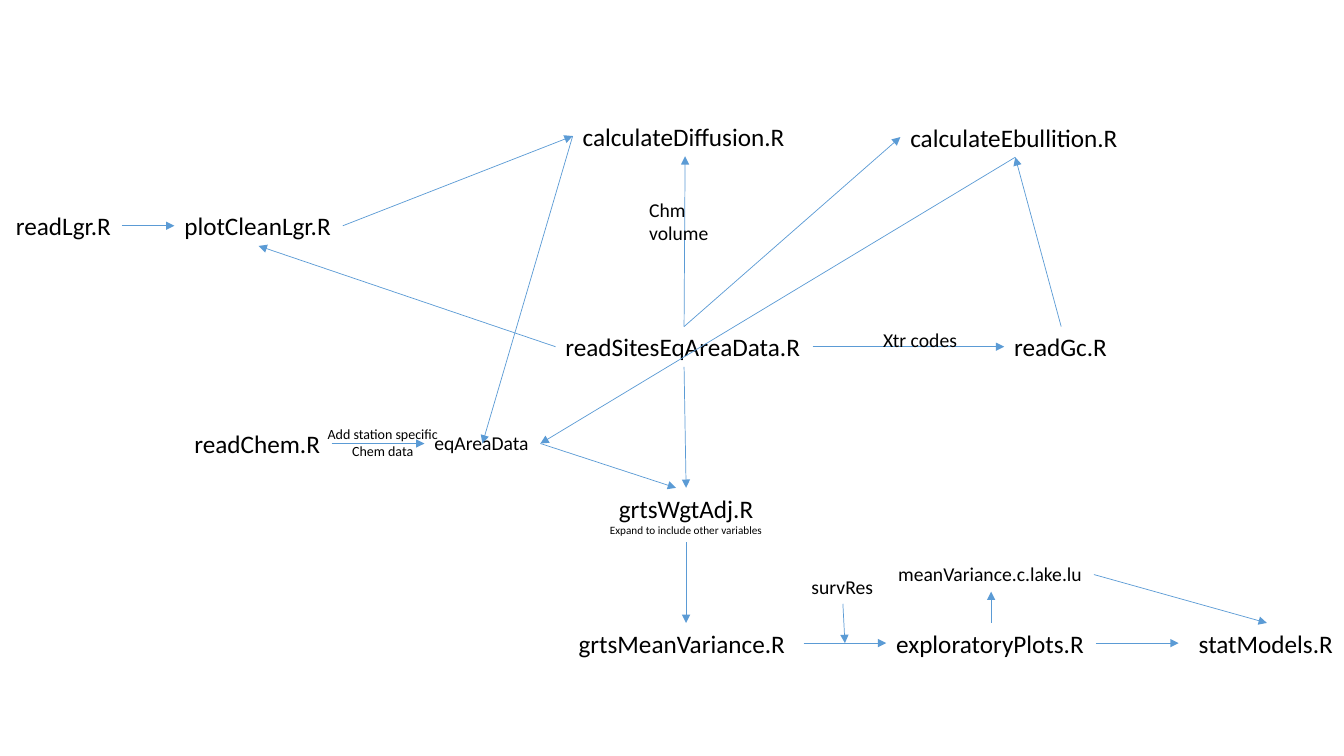
from dataclasses import dataclass

from lxml import etree
from pptx import Presentation
from pptx import util as u
from pptx.dml.color import RGBColor
from pptx.enum import shapes, text
from pptx.oxml.ns import qn


@dataclass(frozen=True)
class Theme:
    font: str = "Calibri"
    ink: RGBColor = RGBColor(0x00, 0x00, 0x00)
    arrow: RGBColor = RGBColor(0x5B, 0x9B, 0xD5)
    arrow_width: float = 0.5
    script: int = 18
    data: int = 14
    note: int = 10
    small: int = 8


theme = Theme()

# Scripts: name -> left, top, width, height
scripts = {
    "readSitesEqAreaData.R": (5.51, 3.24, 2.55, 0.4),
    "plotCleanLgr.R": (1.73, 2.04, 1.67, 0.4),
    "grtsWgtAdj.R": (5.94, 4.84, 1.73, 0.54),
    "readLgr.R": (0.06, 2.04, 1.15, 0.4),
    "calculateDiffusion.R": (5.68, 1.15, 2.23, 0.4),
    "calculateEbullition.R": (8.93, 1.16, 2.28, 0.4),
    "grtsMeanVariance.R": (5.64, 6.18, 2.33, 0.4),
    "readGc.R": (9.96, 3.24, 1.13, 0.4),
    "exploratoryPlots.R": (8.79, 6.18, 2.08, 0.4),
    "readChem.R": (1.83, 4.2, 1.46, 0.4),
    "statModels.R": (11.79, 6.18, 1.55, 0.4),
}
script_notes = {"grtsWgtAdj.R": "Expand to include other variables"}

# Data objects passed between scripts
data_objects = {
    "eqAreaData": (4.21, 4.23, 1.15, 0.34),
    "survRes": (7.95, 5.65, 0.82, 0.34),
    "meanVariance.c.lake.lu": (8.81, 5.53, 2.04, 0.34),
}
boxes = {**scripts, **data_objects}

# Arrow labels: lines, box, size, centred
labels = [
    (["Chm", "volume"], (6.34, 1.91, 0.8, 0.57), theme.data, False),
    (["Xtr codes"], (8.66, 3.2, 0.94, 0.34), theme.data, False),
    (["Add station specific", "Chem data"], (3.14, 4.17, 1.31, 0.44), theme.note, True),
]

# Arrows: start box, side, end box, side, shift of the end point in x
arrows = [
    ("readSitesEqAreaData.R", "left", "plotCleanLgr.R", "bottom", 0),
    ("readSitesEqAreaData.R", "bottom", "grtsWgtAdj.R", "top", 0),
    ("readLgr.R", "right", "plotCleanLgr.R", "left", 0),
    ("plotCleanLgr.R", "right", "calculateDiffusion.R", "left", 0),
    ("readSitesEqAreaData.R", "top", "calculateEbullition.R", "left", 0),
    ("readSitesEqAreaData.R", "top", "calculateDiffusion.R", "bottom", 0),
    ("calculateDiffusion.R", "left", "eqAreaData", "centre", 0),
    ("calculateEbullition.R", "bottom", "eqAreaData", "right", 0),
    ("grtsWgtAdj.R", "bottom", "grtsMeanVariance.R", "top", 0),
    ("readSitesEqAreaData.R", "right", "readGc.R", "left", 0),
    ("readGc.R", "top", "calculateEbullition.R", "bottom", 0),
    ("eqAreaData", "right", "grtsWgtAdj.R", "top", -0.1),
    ("grtsMeanVariance.R", "right", "exploratoryPlots.R", "left", 0),
    ("survRes", "bottom", "exploratoryPlots.R", "left", -0.41),
    ("exploratoryPlots.R", "top", "meanVariance.c.lake.lu", "bottom", 0),
    ("readChem.R", "right", "eqAreaData", "left", 0),
    ("exploratoryPlots.R", "right", "statModels.R", "left", -0.1),
    ("meanVariance.c.lake.lu", "right", "statModels.R", "top", 0),
]
sides = {"left": (0, 0.5), "right": (1, 0.5), "top": (0.5, 0),
         "bottom": (0.5, 1), "centre": (0.5, 0.5)}


def add_text(s, lines, box, centred=False):
    """Add a text box holding one paragraph per (words, size) pair."""
    sp = s.shapes.add_textbox(*map(u.Inches, box))
    tf = sp.text_frame
    tf.word_wrap = False
    tf.auto_size = text.MSO_AUTO_SIZE.SHAPE_TO_FIT_TEXT
    for i, (words, size) in enumerate(lines):
        p = tf.add_paragraph() if i else tf.paragraphs[0]
        p.alignment = text.PP_ALIGN.CENTER if centred else text.PP_ALIGN.LEFT
        r = p.add_run()
        r.text = words
        r.font.name = theme.font
        r.font.size = u.Pt(size)
        r.font.color.rgb = theme.ink


def anchor(name, side):
    """Return the point on the given side of a named box."""
    left, top, width, height = boxes[name]
    fx, fy = sides[side]
    return left + fx * width, top + fy * height


prs = Presentation()
prs.slide_width, prs.slide_height = u.Inches(13.33), u.Inches(7.5)
s = prs.slides.add_slide(prs.slide_layouts[6])

# Script names
for name, box in scripts.items():
    lines = [(name, theme.script)]
    if name in script_notes:
        lines.append((script_notes[name], theme.small))
    add_text(s, lines, box, centred=name in script_notes)

# Arrows
for start, start_side, end, end_side, shift in arrows:
    x1, y1 = anchor(start, start_side)
    x2, y2 = anchor(end, end_side)
    points = map(u.Inches, (x1, y1, x2 + shift, y2))
    sp = s.shapes.add_connector(shapes.MSO_CONNECTOR.STRAIGHT, *points)
    sp.line.color.rgb = theme.arrow
    sp.line.width = u.Pt(theme.arrow_width)
    etree.SubElement(sp.line._get_or_add_ln(), qn("a:tailEnd"), type="triangle")
    etree.SubElement(sp._element.spPr, qn("a:effectLst"))

# Data objects and arrow labels
for name, box in data_objects.items():
    add_text(s, [(name, theme.data)], box)
for lines, box, size, centred in labels:
    add_text(s, [(words, size) for words in lines], box, centred)

prs.save("out.pptx")
